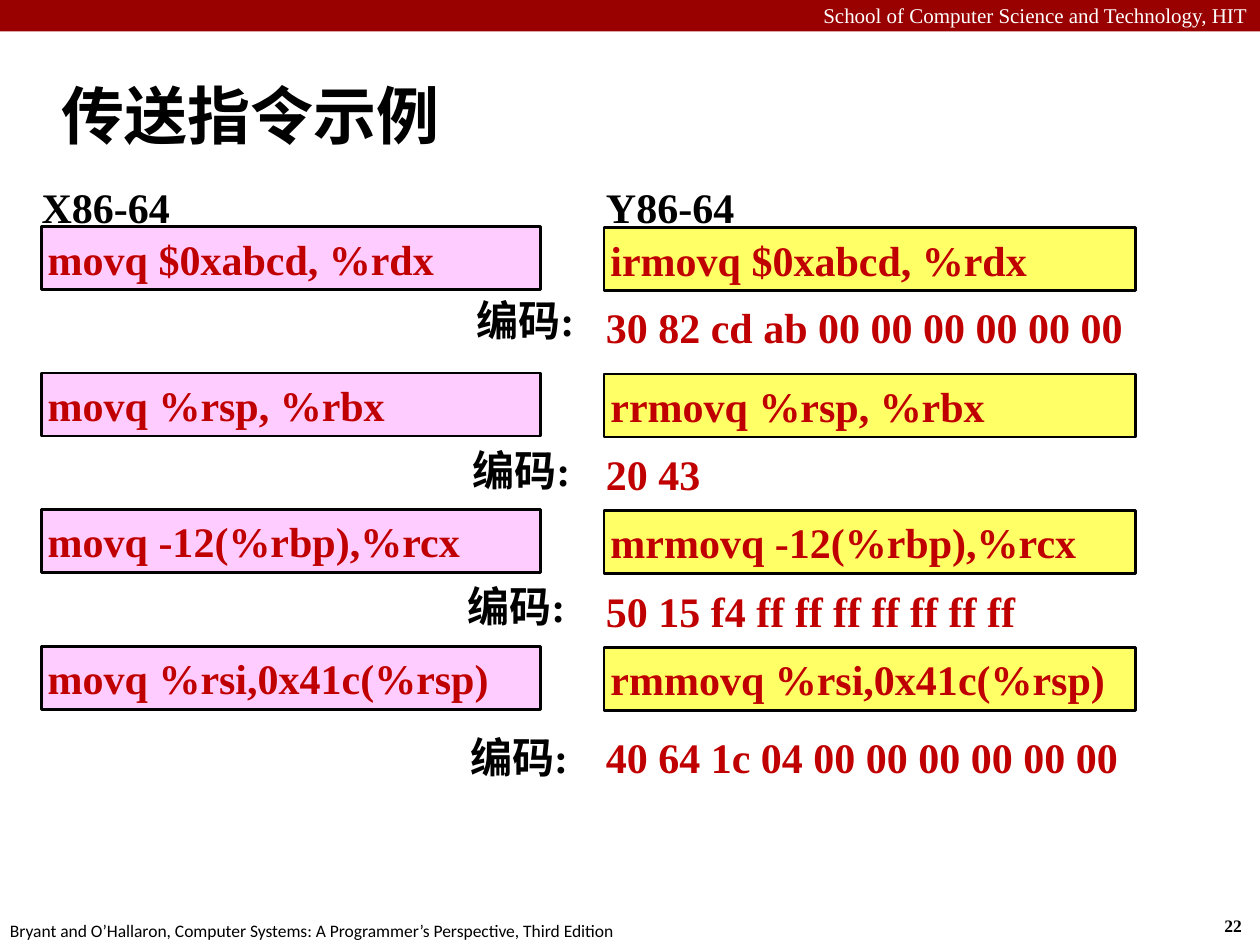
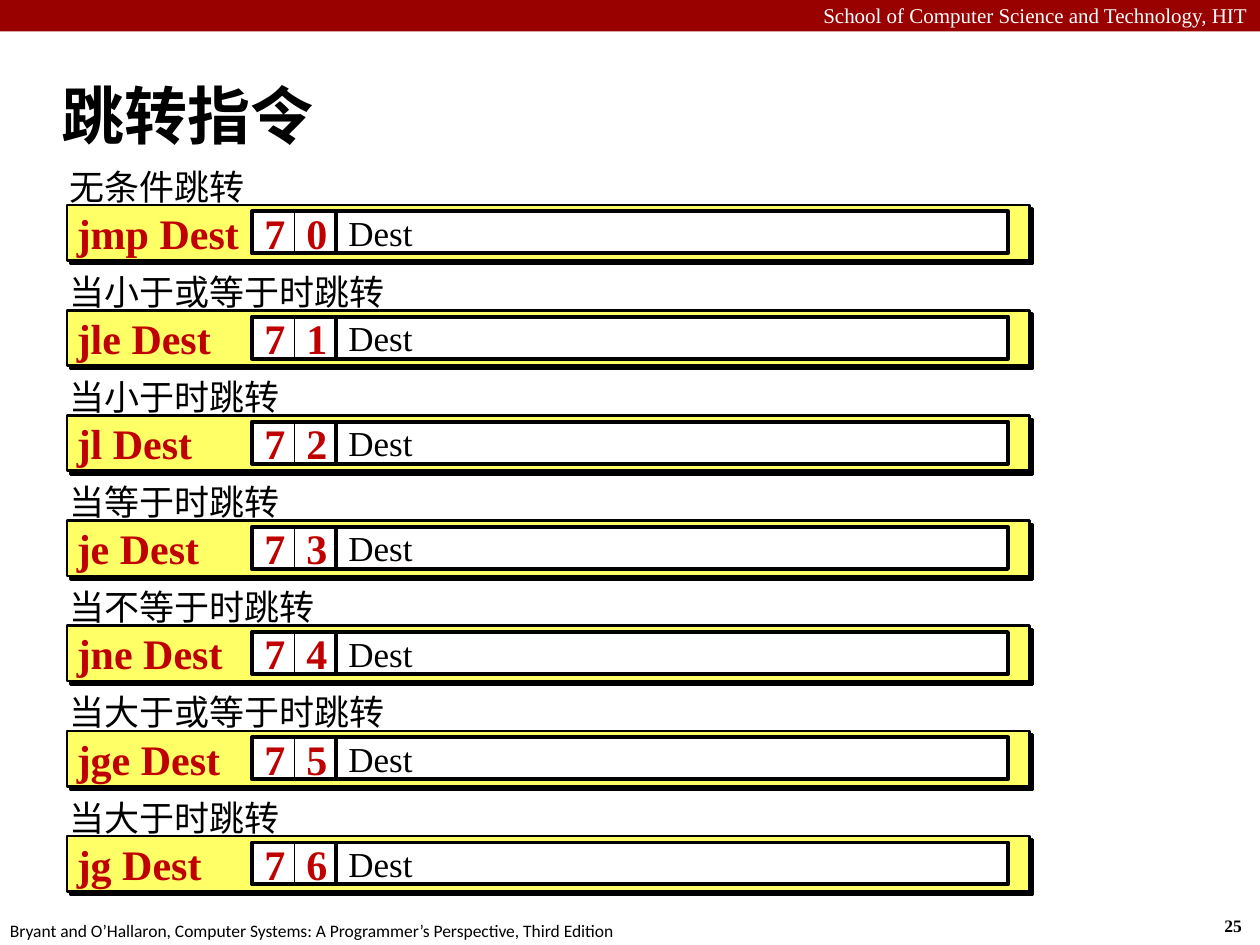
from lxml import etree
from pptx import Presentation
from pptx.dml.color import RGBColor
from pptx.enum.shapes import MSO_SHAPE
from pptx.enum.text import MSO_ANCHOR, PP_ALIGN
from pptx.oxml.ns import qn
from pptx.util import Pt

RECT = MSO_SHAPE.RECTANGLE
TOP, MIDDLE = MSO_ANCHOR.TOP, MSO_ANCHOR.MIDDLE
LEFT, RIGHT = PP_ALIGN.LEFT, PP_ALIGN.RIGHT
SERIF, SANS = "Times New Roman", "Calibri"
BLACK, WHITE, BAND, CODE = "000000", "FFFFFF", "990000", "C00000"
PINK, YELLOW = "FFCCFF", "FFFF66"
WIDTH, HEIGHT = 720, 540
TIGHT, LOOSE = (3.6, 3.6), (7.2, 3.6)
TITLE_BOX = (28.1, 35.3, 597.6, 59.8)

MOVES = [
    (129.6, 268.6, 164.9, 168.5, "movq $0xabcd, %rdx",
     "irmovq $0xabcd, %rdx", "30 82 cd ab 00 00 00 00 00 00"),
    (213.1, 266.4, 250.6, 252.7, "movq %rsp, %rbx",
     "rrmovq %rsp, %rbx", "20 43"),
    (291.2, 263.5, 328.3, 331.2, "movq -12(%rbp),%rcx",
     "mrmovq -12(%rbp),%rcx", "50 15 f4 ff ff ff ff ff ff ff"),
    (369.4, 265, 414.7, 414.7, "movq %rsi,0x41c(%rsp)",
     "rmmovq %rsi,0x41c(%rsp)", "40 64 1c 04 00 00 00 00 00 00"),
]
JUMPS = [
    ("jmp", "无条件跳转"),
    ("jle", "当小于或等于时跳转"),
    ("jl", "当小于时跳转"),
    ("je", "当等于时跳转"),
    ("jne", "当不等于时跳转"),
    ("jge", "当大于或等于时跳转"),
    ("jg", "当大于时跳转"),
]


def paint(target, color):
    """Give a fill, line or font a solid colour."""
    if hasattr(target, "solid"):
        target.solid()
        target.fore_color.rgb = RGBColor.from_string(color)
    else:
        target.color.rgb = RGBColor.from_string(color)


def write(shape, text, size, color=BLACK, bold=False, font=SERIF,
          align=LEFT, anchor=TOP, inset=LOOSE, wrap=False):
    """Set the text of a shape and its format."""
    frame = shape.text_frame
    frame.word_wrap = wrap
    frame.vertical_anchor = anchor
    frame.margin_left = frame.margin_right = Pt(inset[0])
    frame.margin_top = frame.margin_bottom = Pt(inset[1])
    para = frame.paragraphs[0]
    para.text = text
    para.alignment = align
    para.font.name = font
    para.font.size = Pt(size)
    para.font.bold = bold
    paint(para.font, color)


def label(slide, box, text, size, **style):
    """Add a text box."""
    write(slide.shapes.add_textbox(*map(Pt, box)), text, size, **style)


def block(shapes, box, fill=None, line=None):
    """Add a rectangle with an optional fill and line."""
    shape = shapes.add_shape(RECT, *map(Pt, box))
    shape.shadow.inherit = False
    if fill:
        paint(shape.fill, fill)
    else:
        shape.fill.background()
    if line:
        paint(shape.line, BLACK)
        shape.line.width = Pt(line)
    else:
        shape.line.fill.background()
    return shape


def shade(shape):
    """Give a shape a hard black shadow to the lower right."""
    effects = shape.element.spPr.find(qn("a:effectLst"))
    drop = etree.SubElement(effects, qn("a:outerShdw"), dist=str(Pt(2.8)),
                            dir="2700000", algn="ctr", rotWithShape="0")
    etree.SubElement(drop, qn("a:srgbClr"), val=BLACK)


def start(deck, title, number):
    """Add a slide with its band, footer, page number and title."""
    slide = deck.slides.add_slide(deck.slide_layouts[5])
    block(slide.shapes, (0, 0, WIDTH, 18), BAND)
    label(slide, (0, -2.2, WIDTH, 21.6),
          "School of Computer Science and Technology, HIT", 12,
          color=WHITE, align=RIGHT, wrap=True)
    label(slide, (692.6, 519.1, 26.6, 19.4), str(number), 10, bold=True)
    label(slide, (-1.4, 522, 365.8, 19.4),
          "Bryant and O’Hallaron, Computer Systems: "
          "A Programmer’s Perspective, Third Edition", 10, font=SANS)
    head = slide.shapes.title
    head.left, head.top, head.width, head.height = map(Pt, TITLE_BOX)
    write(head, title, 36, bold=True, font=SANS, anchor=MIDDLE, wrap=True)
    return slide


def command(slide, box, text, fill):
    """Add a framed instruction."""
    write(block(slide.shapes, box, fill, 1.5), text, 24, CODE, True,
          anchor=MIDDLE, inset=TIGHT, wrap=True)


def move_slide(deck):
    """Build the slide that pairs move instructions with their encodings."""
    slide = start(deck, "传送指令示例", 22)
    for left, text in ((20.2, "X86-64"), (342.7, "Y86-64")):
        label(slide, (left, 100.1, 81.4, 36), text, 24, bold=True, inset=TIGHT)
    for top, left, tag_top, code_top, source, target, code in MOVES:
        command(slide, (23.6, top, 285.2, 36), source, PINK)
        command(slide, (345.2, top + 0.6, 303.8, 36), target, YELLOW)
        label(slide, (left, tag_top, 85.7, 36), "编码:", 24, bold=True,
              inset=TIGHT, wrap=True)
        label(slide, (339.1, code_top, 335, 23.8), code, 24, color=CODE,
              bold=True)


def opcode(slide, left, top, side, digits):
    """Add a group of digit cells within one heavy frame."""
    shapes = slide.shapes.add_group_shape().shapes
    for i, digit in enumerate(digits):
        cell = block(shapes, (left + i * side, top, side, side), WHITE, 0.5)
        write(cell, digit, 24, CODE, True, anchor=MIDDLE)
    block(shapes, (left, top, side * len(digits), side), line=2.25)


def jump_row(slide, left, top, index, name, note):
    """Add one jump instruction with its note above and its bytes."""
    side, inner = 24, top + 3.6
    shade(block(slide.shapes, (left, top, 550, 31.7), YELLOW, 1.5))
    label(slide, (left - 1.4, inner, 115, side), f"{name} Dest", 24,
          color=CODE, bold=True, anchor=MIDDLE)
    opcode(slide, left + 105.8, inner, side, f"7{index}")
    label(slide, (left - 2.2, top - 26.4, 189.4, 31.7), note, 20, inset=TIGHT)
    dest = block(slide.shapes, (left + 153.8, inner, 384, side), WHITE, 2.25)
    write(dest, "Dest", 20, anchor=MIDDLE)


def jump_slide(deck):
    """Build the slide that lists the jump instructions."""
    slide = start(deck, "跳转指令", 25)
    for i, (name, note) in enumerate(JUMPS):
        jump_row(slide, 38.2, 117.2 + i * 60.1, i, name, note)


def main():
    """Build and save the deck."""
    deck = Presentation()
    deck.slide_width, deck.slide_height = Pt(WIDTH), Pt(HEIGHT)
    move_slide(deck)
    jump_slide(deck)
    deck.save("out.pptx")


if __name__ == "__main__":
    main()
